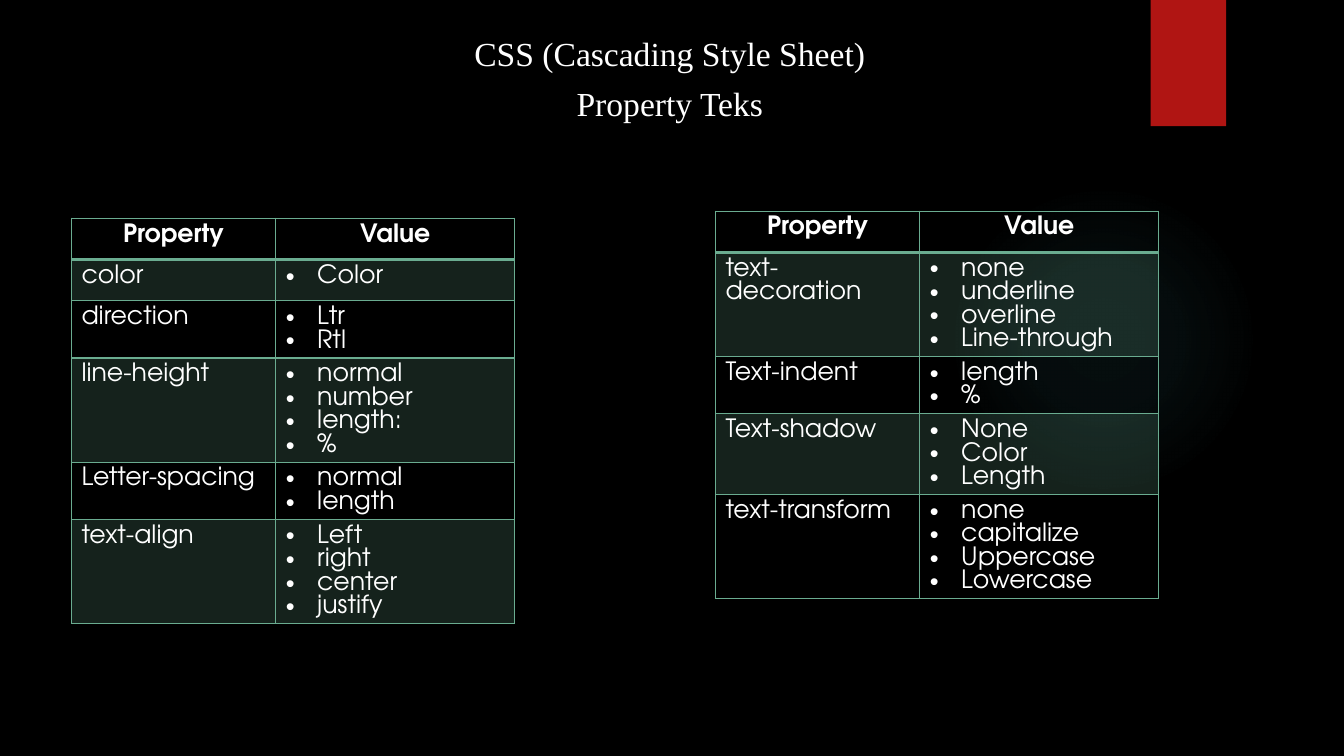
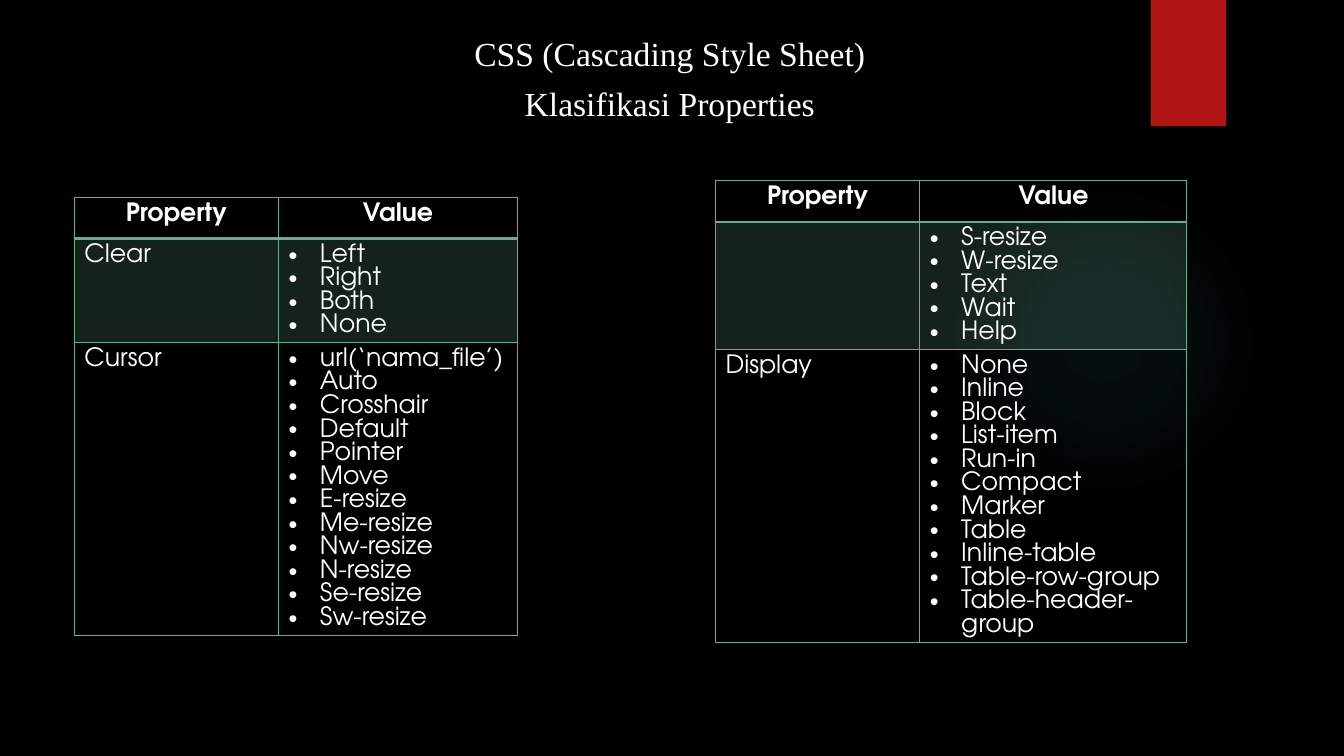
from lxml import etree
from pptx import Presentation
from pptx import util as u
from pptx.dml.color import RGBColor
from pptx.enum import shapes, text
from pptx.oxml import ns, parse_xml

BLACK = RGBColor(0x00, 0x00, 0x00)
WHITE = RGBColor(0xFF, 0xFF, 0xFF)
RED = RGBColor(0xB0, 0x15, 0x13)
GREEN = RGBColor(0x6A, 0xAC, 0x90)
TEAL = RGBColor(0x50, 0xB9, 0xC1)
TITLE_FONT = "Times New Roman"
TABLE_FONT = "TeX Gyre Adventor"
TITLE_BOX = (u.Cm(4.18), u.Cm(0.81), u.Cm(25.4), u.Cm(2.51))
BAND_BOX = (u.Cm(29), 0, u.Cm(1.9), u.Cm(3.18))
GLOW_BOX = (u.Cm(23.9), u.Cm(4.65), u.Cm(7.82), u.Cm(7.82))
GLOW_STOPS = [(0, 7), (36, 6), (69, 0)]
PROPERTY_WIDTH = u.Cm(5.15)
ROW_HEIGHT = u.Cm(1.04)
TABLE_LINE = u.Pt(16.8)
BULLET_INDENT = u.Cm(0.79)
LEFT = text.PP_ALIGN.LEFT
CENTER = text.PP_ALIGN.CENTER
TITLE = "CSS (Cascading Style Sheet)"

SLIDES = [
    ("Property Teks", [
        (u.Cm(1.8), u.Cm(5.5), u.Cm(6.02), [
            ("color", ["Color"]),
            ("direction", ["Ltr", "Rtl"]),
            ("line-height", ["normal", "number", "length:", "%"]),
            ("Letter-spacing", ["normal", "length"]),
            ("text-align", ["Left", "right", "center", "justify"]),
        ]),
        (u.Cm(18.03), u.Cm(5.32), u.Cm(6.02), [
            ("text-decoration",
             ["none", "underline", "overline", "Line-through"]),
            ("Text-indent", ["length", "%"]),
            ("Text-shadow", ["None", "Color", "Length"]),
            ("text-transform",
             ["none", "capitalize", "Uppercase", "Lowercase"]),
        ]),
    ]),
    ("Klasifikasi Properties", [
        (u.Cm(1.87), u.Cm(4.97), u.Cm(6.02), [
            ("Clear", ["Left", "Right", "Both", "None"]),
            ("Cursor", ["url(‘nama_file’)", "Auto", "Crosshair", "Default",
                        "Pointer", "Move", "E-resize", "Me-resize",
                        "Nw-resize", "N-resize", "Se-resize", "Sw-resize"]),
        ]),
        (u.Cm(18.03), u.Cm(4.55), u.Cm(6.73), [
            ("", ["S-resize", "W-resize", "Text", "Wait", "Help"]),
            ("Display", ["None", "Inline", "Block", "List-item", "Run-in",
                         "Compact", "Marker", "Table", "Inline-table",
                         "Table-row-group", "Table-header-group"]),
        ]),
    ]),
]


def write_text(frame, lines, *, font, size, bold=False, align=LEFT,
               bullet=False, line_spacing=None, space_before=None):
    """Fill a text frame with one formatted paragraph per line."""
    for index, line in enumerate(lines):
        paragraph = frame.add_paragraph() if index else frame.paragraphs[0]
        paragraph.alignment = align
        paragraph.line_spacing = line_spacing
        paragraph.space_before = space_before
        if bullet:
            add_bullet(paragraph)
        run = paragraph.add_run()
        run.text = line
        run.font.name = font
        run.font.size = u.Pt(size)
        run.font.bold = bold
        run.font.color.rgb = WHITE


def add_bullet(paragraph):
    """Give a paragraph a round bullet with a hanging indent."""
    properties = paragraph._p.get_or_add_pPr()
    properties.set("marL", str(BULLET_INDENT))
    properties.set("indent", str(-BULLET_INDENT))
    etree.SubElement(properties, ns.qn("a:buFont"), typeface="Arial")
    etree.SubElement(properties, ns.qn("a:buChar"), char="•")


def add_plain_shape(slide, kind, box):
    """Add a preset shape without line or shadow."""
    shape = slide.shapes.add_shape(kind, *box)
    shape.shadow.inherit = False
    shape.line.fill.background()
    return shape


def add_glow(slide, box):
    """Add a soft round glow that fades out from its centre."""
    glow = add_plain_shape(slide, shapes.MSO_SHAPE.OVAL, box)
    stops = "".join(
        f'<a:gs pos="{position * 1000}"><a:srgbClr val="{TEAL}">'
        f'<a:alpha val="{alpha * 1000}"/></a:srgbClr></a:gs>'
        for position, alpha in GLOW_STOPS)
    gradient = parse_xml(
        f'<a:gradFill {ns.nsdecls("a")}><a:gsLst>{stops}</a:gsLst>'
        '<a:path path="circle"><a:fillToRect l="50000" t="50000" '
        'r="50000" b="50000"/></a:path></a:gradFill>')
    glow._element.spPr.find(ns.qn("a:prstGeom")).addnext(gradient)


def add_band(slide, box):
    """Add the red band that hangs from the top edge."""
    band = add_plain_shape(slide, shapes.MSO_SHAPE.RECTANGLE, box)
    band.fill.solid()
    band.fill.fore_color.rgb = RED


def add_title(slide, box, subtitle):
    """Add the centred two-line title."""
    frame = slide.shapes.add_textbox(*box).text_frame
    frame.word_wrap = True
    write_text(frame, [TITLE, subtitle], font=TITLE_FONT, size=24,
               align=CENTER, line_spacing=0.9, space_before=u.Pt(10))


def style_cell(cell, row):
    """Draw the borders of a cell and tint every odd row."""
    properties = cell._tc.get_or_add_tcPr()
    widths = {"lnL": 1, "lnR": 1, "lnT": 2 if row == 1 else 1,
              "lnB": 2 if row == 0 else 1}
    for tag, width in widths.items():
        properties.append(parse_xml(
            f'<a:{tag} {ns.nsdecls("a")} w="{u.Pt(width)}"><a:solidFill>'
            f'<a:srgbClr val="{GREEN}"/></a:solidFill></a:{tag}>'))
    if row % 2:
        cell.fill.solid()
        cell.fill.fore_color.rgb = GREEN
        color = properties.find(ns.qn("a:solidFill"))[0]
        etree.SubElement(color, ns.qn("a:alpha"), val="20000")
    else:
        cell.fill.background()


def add_property_table(slide, left, top, value_width, entries):
    """Add a table of properties with their bulleted values."""
    count = len(entries) + 1
    table = slide.shapes.add_table(
        count, 2, left, top, PROPERTY_WIDTH + value_width,
        ROW_HEIGHT * count).table
    table.horz_banding = False
    table.columns[0].width = PROPERTY_WIDTH
    table.columns[1].width = value_width
    rows = [("Property", ["Value"])] + entries
    for row, (name, values) in enumerate(rows):
        header = row == 0
        for column, lines in enumerate(([name], values)):
            cell = table.cell(row, column)
            style_cell(cell, row)
            write_text(cell.text_frame, lines, font=TABLE_FONT, size=18,
                       bold=header, align=CENTER if header else LEFT,
                       bullet=column == 1 and not header,
                       line_spacing=TABLE_LINE)


def add_property_slide(presentation, subtitle, tables):
    """Add a slide with a title and its property tables."""
    slide = presentation.slides.add_slide(presentation.slide_layouts[6])
    slide.background.fill.solid()
    slide.background.fill.fore_color.rgb = BLACK
    add_glow(slide, GLOW_BOX)
    add_band(slide, BAND_BOX)
    add_title(slide, TITLE_BOX, subtitle)
    for table in tables:
        add_property_table(slide, *table)


def main():
    """Build and save the presentation."""
    presentation = Presentation()
    presentation.slide_width = u.Cm(33.87)
    presentation.slide_height = u.Cm(19.05)
    for subtitle, tables in SLIDES:
        add_property_slide(presentation, subtitle, tables)
    presentation.save("out.pptx")


main()
